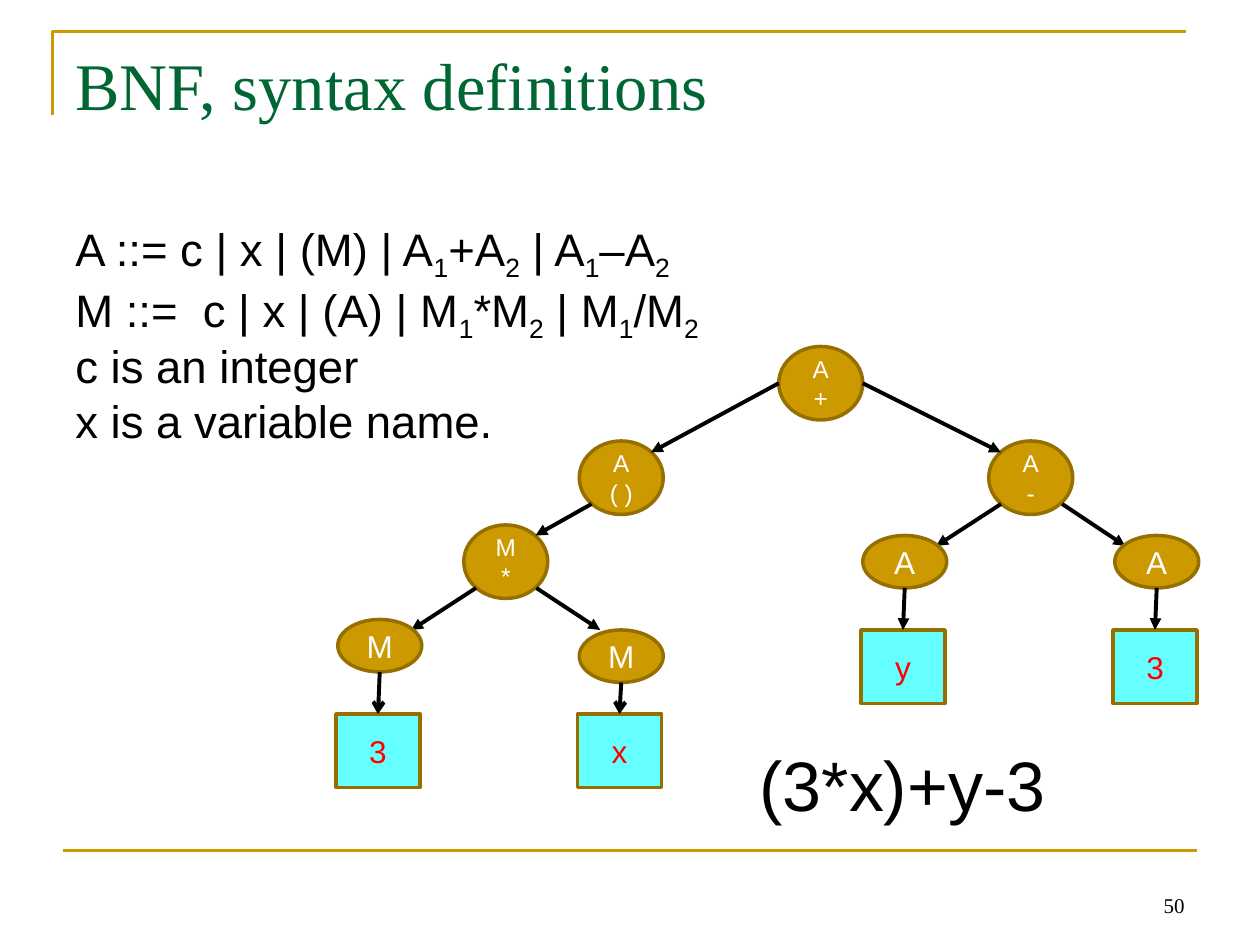
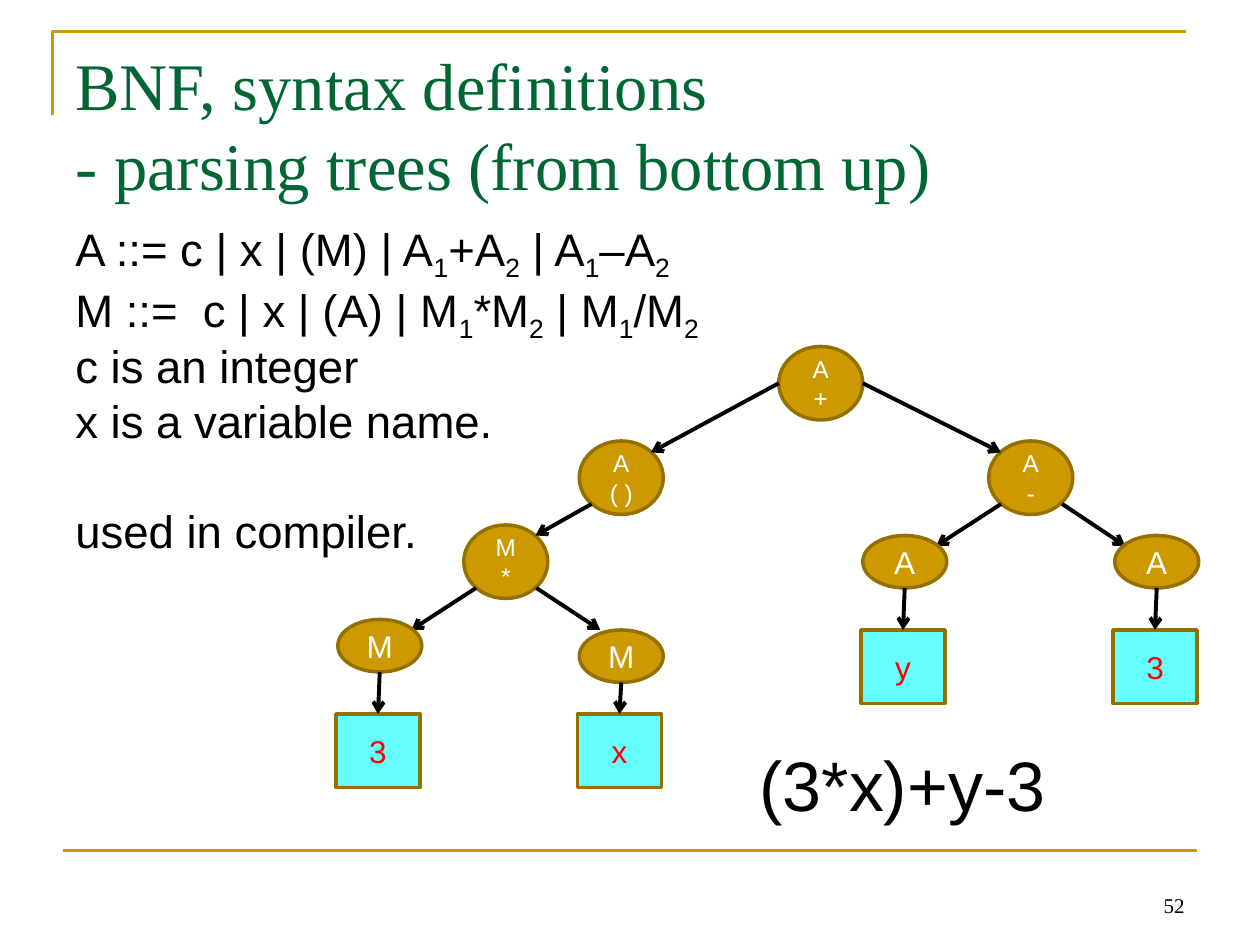
"""Build two slides on BNF syntax definitions with their parse tree."""
import dataclasses

import lxml.etree
import pptx
import pptx.dml.color
import pptx.enum.shapes
import pptx.enum.text
import pptx.oxml
import pptx.oxml.ns
import pptx.util

Pt = pptx.util.Pt
Align = pptx.enum.text.PP_ALIGN
Anchor = pptx.enum.text.MSO_ANCHOR
AutoShape = pptx.enum.shapes.MSO_SHAPE


@dataclasses.dataclass(frozen=True)
class Theme:
    """Colours, fonts and sizes shared by the slides."""
    gold: str = "CC9900"
    outline: str = "956F00"
    green: str = "006633"
    black: str = "000000"
    white: str = "FFFFFF"
    cyan: str = "66FFFF"
    red: str = "FF0000"
    serif: str = "Times New Roman"
    sans: str = "Arial"
    title_size: float = 38
    body_size: float = 26
    formula_size: float = 40
    node_size: float = 18
    operator_size: float = 13.9
    number_size: float = 12
    body_gap: float = 6.5
    blank_line_gap: float = 37.8
    node_width: float = 48
    tall: float = 42
    low: float = 30


GRAMMAR = [
    "A ::= c | x | (M) | A_1+A_2 | A_1–A_2",
    "M ::=  c | x | (A) | M_1*M_2 | M_1/M_2",
    "c is an integer",
    "x is a variable name.",
]
OPERATOR_NODES = [
    ("A\n+", 445, 198),
    ("A\n( )", 331, 252),
    ("A\n-", 565, 252),
    ("M\n*", 265, 300),
]
BRANCHES = [
    ((445, 219), (372, 258.5)),
    ((493, 219), (572, 258.5)),
    ((338, 288), (306, 306)),
    ((572, 288), (535, 312)),
    ((607, 288), (643, 312)),
    ((272, 336), (235, 360)),
    ((306.5, 336), (343, 360)),
]
LOWER_LEAVES = [("M", "3", 193, 354, 408), ("M", "x", 331, 360, 408)]
UPPER_LEAVES = [("A", "y", 493, 306, 360), ("A", "3", 637, 306, 360)]


def rgb(colour):
    """Return the colour object for a hexadecimal string."""
    return pptx.dml.color.RGBColor.from_string(colour)


class Deck:
    """Holds the theme and the current slide, and draws each element."""

    def __init__(self, presentation, theme):
        """Keep the presentation and its theme."""
        self.presentation = presentation
        self.theme = theme
        self.slide = None

    def style(self, paragraph, size, colour, font, alignment=Align.LEFT):
        """Set the font and alignment of a paragraph."""
        paragraph.alignment = alignment
        paragraph.font.size = Pt(size)
        paragraph.font.name = font
        paragraph.font.color.rgb = rgb(colour)

    def text_box(self, left, top, width, height):
        """Add a wrapping text box and return its frame."""
        box = self.slide.shapes.add_textbox(Pt(left), Pt(top), Pt(width), Pt(height))
        box.text_frame.word_wrap = True
        return box.text_frame

    def line(self, start, end, colour, width, head=None):
        """Add a straight line, with an arrowhead if one is named."""
        connector = self.slide.shapes.add_connector(
            pptx.enum.shapes.MSO_CONNECTOR.STRAIGHT, *map(Pt, start + end))
        connector.line.color.rgb = rgb(colour)
        connector.line.width = Pt(width)
        if head:
            tail = lxml.etree.SubElement(
                connector.line._get_or_add_ln(), pptx.oxml.ns.qn("a:tailEnd"))
            tail.set("type", head)
        lxml.etree.SubElement(connector._element.spPr, pptx.oxml.ns.qn("a:effectLst"))
        return connector

    def arrow(self, start, end, head):
        """Add a tree arrow."""
        return self.line(start, end, self.theme.black, 2.25, head)

    def frame(self, number):
        """Start a slide with its corner line, bottom rule and number."""
        theme = self.theme
        self.slide = self.presentation.slides.add_slide(self.presentation.slide_layouts[6])
        builder = self.slide.shapes.build_freeform(Pt(30), Pt(66))
        builder.add_line_segments([(Pt(30), Pt(18)), (Pt(678), Pt(18))], close=False)
        corner = builder.convert_to_shape()
        corner.shadow.inherit = False
        corner.fill.background()
        corner.line.color.rgb = rgb(theme.gold)
        corner.line.width = Pt(1.5)
        self.line((36, 486), (684, 486), theme.gold, 1.5)
        number_frame = self.text_box(516, 492, 168, 36)
        number_frame.vertical_anchor = Anchor.BOTTOM
        number_frame.text = str(number)
        self.style(number_frame.paragraphs[0], theme.number_size, theme.black,
                   theme.serif, Align.RIGHT)

    def title(self, text):
        """Add the slide title."""
        title_frame = self.text_box(36, 21.6, 648, 90)
        title_frame.text = text
        self.style(title_frame.paragraphs[0], self.theme.title_size,
                   self.theme.green, self.theme.serif)

    def body(self, lines, closing=None):
        """Add the grammar, where an underscore lowers the next character."""
        theme = self.theme
        body_frame = self.text_box(36, 126, 402, 204 if closing else 162)
        for index, text in enumerate(lines + ([closing] if closing else [])):
            paragraph = body_frame.paragraphs[0] if index == 0 else body_frame.add_paragraph()
            paragraph.line_spacing = 0.8
            if index:
                paragraph.space_before = Pt(
                    theme.blank_line_gap if text == closing else theme.body_gap)
            self.style(paragraph, theme.body_size, theme.black, theme.sans)
            plain, *lowered = text.split("_")
            paragraph.add_run().text = plain
            for part in lowered:
                subscript = paragraph.add_run()
                subscript.text = part[0]
                subscript.font._element.set("baseline", "-25000")
                if part[1:]:
                    paragraph.add_run().text = part[1:]

    def node(self, kind, text, left, top, height, fill, colour, size):
        """Add an outlined tree node with centred text."""
        theme = self.theme
        shape = self.slide.shapes.add_shape(
            kind, Pt(left), Pt(top), Pt(theme.node_width), Pt(height))
        shape.shadow.inherit = False
        shape.fill.solid()
        shape.fill.fore_color.rgb = rgb(fill)
        shape.line.color.rgb = rgb(theme.outline)
        shape.line.width = Pt(2)
        shape.text_frame.vertical_anchor = Anchor.MIDDLE
        shape.text_frame.text = text
        for paragraph in shape.text_frame.paragraphs:
            self.style(paragraph, size, colour, theme.sans, Align.CENTER)
        return shape

    def leaf(self, symbol, value, left, top, value_top, head):
        """Add a symbol and the value it derives, joined by an arrow."""
        theme = self.theme
        self.node(AutoShape.OVAL, symbol, left, top, theme.low,
                  theme.gold, theme.white, theme.node_size)
        box = self.node(AutoShape.RECTANGLE, value, left - 1, value_top, theme.tall,
                        theme.cyan, theme.red, theme.node_size)
        middle = left + theme.node_width / 2
        connector = self.arrow((middle, top + theme.low), (middle - 1, value_top), head)
        connector.end_connect(box, 0)

    def tree(self, head):
        """Draw the parse tree with the given arrowhead."""
        theme = self.theme
        for text, left, top in OPERATOR_NODES:
            self.node(AutoShape.OVAL, text, left, top, theme.tall,
                      theme.gold, theme.white, theme.operator_size)
        for start, end in BRANCHES:
            self.arrow(start, end, head)
        for leaf in UPPER_LEAVES:
            self.leaf(*leaf, head)
        for leaf in LOWER_LEAVES:
            self.leaf(*leaf, "arrow")

    def formula(self, text):
        """Add the parsed expression."""
        formula_frame = self.text_box(427, 420, 200, 55.4)
        formula_frame.text = text
        self.style(formula_frame.paragraphs[0], self.theme.formula_size,
                   self.theme.black, self.theme.sans)


def main():
    """Build and save the presentation."""
    presentation = pptx.Presentation()
    presentation.slide_width = Pt(720)
    presentation.slide_height = Pt(540)
    deck = Deck(presentation, Theme())
    heading = "BNF, syntax definitions"
    for number, title, closing, head in [
        (50, heading, None, "triangle"),
        (52, heading + "\v- parsing trees (from bottom up)", "used in compiler.", "arrow"),
    ]:
        deck.frame(number)
        deck.title(title)
        deck.body(GRAMMAR, closing)
        deck.tree(head)
        deck.formula("(3*x)+y-3")
    presentation.save("out.pptx")


if __name__ == "__main__":
    main()
